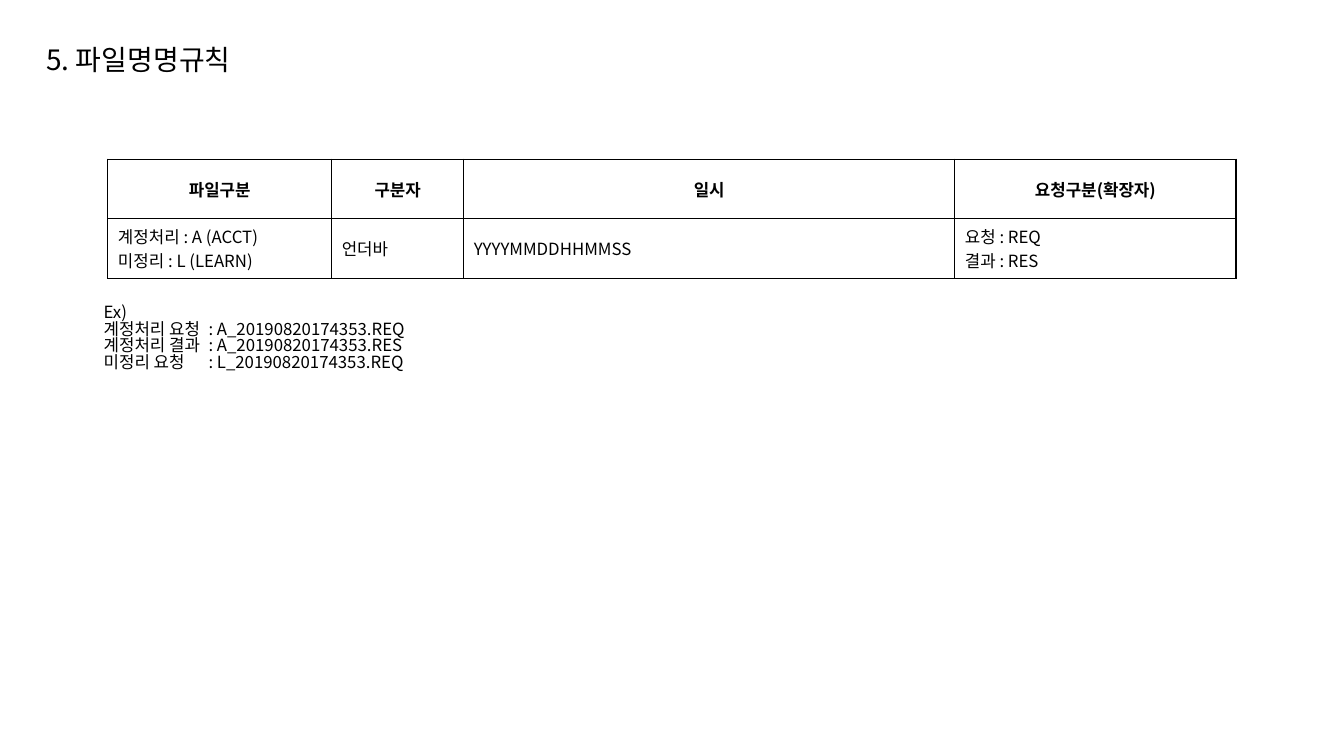
from lxml import etree
from pptx import Presentation
from pptx import util as u
from pptx.dml.color import RGBColor
from pptx.enum import text
from pptx.oxml.ns import qn

FONT = "Noto Sans CJK KR"
COLORS = {"ink": "000000", "border": "000000"}
TIGHT = 0.82
HEADERS = ["파일구분", "구분자", "일시", "요청구분(확장자)"]
RULES = [
    ["계정처리 : A (ACCT)", "미정리 : L (LEARN)"],
    ["언더바"],
    ["YYYYMMDDHHMMSS"],
    ["요청 : REQ", "결과 : RES"],
]
COLUMN_WIDTHS = [2.22, 1.31, 4.87, 2.79]
ROW_HEIGHT = 0.59
EXAMPLES = [
    "Ex) ",
    "계정처리 요청\t: A_20190820174353.REQ",
    "계정처리 결과\t: A_20190820174353.RES",
    "미정리 요청\t: L_20190820174353.REQ",
]


def write_lines(frame, lines, size, bold=False, align=text.PP_ALIGN.LEFT, spacing=1.0):
    """Write each line as a paragraph holding one styled run."""
    for index, line in enumerate(lines):
        paragraph = frame.add_paragraph() if index else frame.paragraphs[0]
        paragraph.alignment = align
        paragraph.line_spacing = spacing
        run = paragraph.add_run()
        run.text = line
        run.font.name = FONT
        run.font.size = u.Pt(size)
        run.font.bold = bold
        run.font.color.rgb = RGBColor.from_string(COLORS["ink"])
        etree.SubElement(run.font._element, qn("a:ea"), typeface=FONT)


def add_text(slide, left, top, width, height, lines, size):
    """Add a wrapping text box with tight lines and return its frame."""
    box = slide.shapes.add_textbox(*map(u.Inches, (left, top, width, height)))
    box.text_frame.word_wrap = True
    write_lines(box.text_frame, lines, size, spacing=TIGHT)
    return box.text_frame


def set_tab_stop(frame, position):
    """Give every paragraph of the frame one left tab stop."""
    for paragraph in frame.paragraphs:
        properties = paragraph._p.get_or_add_pPr()
        stops = etree.SubElement(properties, qn("a:tabLst"))
        etree.SubElement(stops, qn("a:tab"), pos=str(u.Inches(position)), algn="l")


def draw_borders(cell):
    """Draw a thin solid line on all four sides of a cell."""
    properties = cell._tc.get_or_add_tcPr()
    for index, side in enumerate(("lnL", "lnR", "lnT", "lnB")):
        line = etree.Element(qn(f"a:{side}"), w=str(u.Pt(1)))
        fill = etree.SubElement(line, qn("a:solidFill"))
        etree.SubElement(fill, qn("a:srgbClr"), val=COLORS["border"])
        properties.insert(index, line)


def add_rule_table(slide, left, top):
    """Add the table of file name parts."""
    size = (sum(COLUMN_WIDTHS), 2 * ROW_HEIGHT)
    frame = slide.shapes.add_table(2, len(HEADERS), *map(u.Inches, (left, top, *size)))
    table = frame.table
    table.first_row = table.horz_banding = False
    for row in table.rows:
        row.height = u.Inches(ROW_HEIGHT)
    for index, (width, header, rule) in enumerate(zip(COLUMN_WIDTHS, HEADERS, RULES)):
        table.columns[index].width = u.Inches(width)
        header_cell, rule_cell = table.cell(0, index), table.cell(1, index)
        write_lines(header_cell.text_frame, [header], 12, True, text.PP_ALIGN.CENTER)
        write_lines(rule_cell.text_frame, rule, 12)
        for cell in (header_cell, rule_cell):
            cell.vertical_anchor = text.MSO_ANCHOR.MIDDLE
            cell.fill.background()
            draw_borders(cell)


def main():
    """Build the file naming rule slide."""
    deck = Presentation()
    deck.slide_width, deck.slide_height = u.Inches(13.33), u.Inches(7.5)
    slide = deck.slides.add_slide(deck.slide_layouts[6])
    add_text(slide, 0.36, 0.43, 6.31, 0.44, ["5. 파일명명규칙"], 20)
    add_rule_table(slide, 1.07, 1.58)
    examples = add_text(slide, 0.93, 2.98, 11.83, 0.91, EXAMPLES, 12)
    set_tab_stop(examples, 1.04)
    deck.save("out.pptx")


main()
